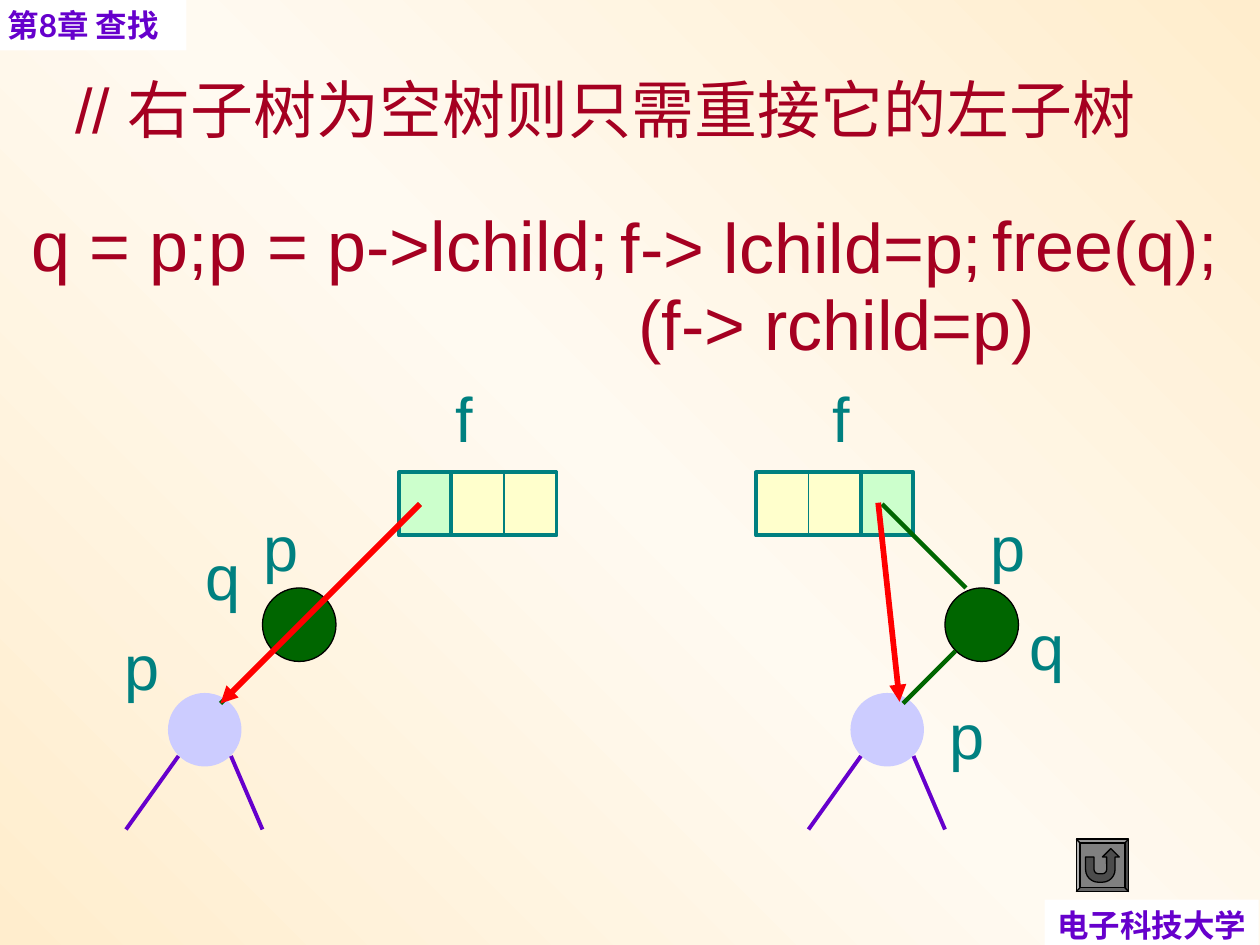
from copy import deepcopy
from dataclasses import dataclass
from lxml import etree
from pptx import Presentation
from pptx.dml.color import RGBColor
from pptx.enum.shapes import MSO_CONNECTOR, MSO_SHAPE
from pptx.enum.text import MSO_ANCHOR, MSO_AUTO_SIZE, PP_ALIGN
from pptx.oxml.ns import qn
from pptx.util import Emu, Inches, Pt

RECT, OVAL = MSO_SHAPE.RECTANGLE, MSO_SHAPE.OVAL
BEVEL, BACK = MSO_SHAPE.BEVEL, MSO_SHAPE.ACTION_BUTTON_RETURN
LINE = MSO_CONNECTOR.STRAIGHT
LEFT, RIGHT = PP_ALIGN.LEFT, PP_ALIGN.RIGHT
TOP, GROW = MSO_ANCHOR.TOP, MSO_AUTO_SIZE.SHAPE_TO_FIT_TEXT

CREAM, PALE = RGBColor(255, 237, 205), RGBColor(255, 250, 241)
WHITE, BLACK = RGBColor(255, 255, 255), RGBColor(0, 0, 0)
GREY, WINE = RGBColor(128, 128, 128), RGBColor(165, 0, 33)
PURPLE, LILAC = RGBColor(102, 0, 204), RGBColor(204, 204, 255)
TEAL, GREEN = RGBColor(0, 128, 128), RGBColor(0, 102, 0)
MINT, LEMON = RGBColor(204, 255, 204), RGBColor(255, 255, 204)
RED = RGBColor(255, 0, 0)

COLS, ROWS = 120, 90
WIDE, HIGH = Inches(10), Inches(7.5)
INSET = Inches(0.1)
FRAME = {"margin_left": INSET, "margin_top": Inches(0.05), "margin_bottom": Inches(0.05),
         "auto_size": GROW, "vertical_anchor": TOP}
CODE = {"name": "Arial", "size": Pt(40), "bold": False}
NOTE = {**CODE, "size": Pt(36)}
TAG = {"name": "Lato", "size": Pt(18), "bold": True}


@dataclass
class Box:
    x: float
    y: float
    w: float
    h: float


@dataclass
class Label:
    text: str
    box: Box
    font: dict
    color: RGBColor
    wrap: bool = False
    align: int = LEFT


@dataclass
class Node:
    kind: int
    box: Box
    fill: RGBColor
    edge: RGBColor = None
    width: float = 0.75


@dataclass
class Link:
    x1: float
    y1: float
    x2: float
    y2: float
    color: RGBColor
    width: float
    arrow: bool = False


def col(x: float) -> Emu:
    return Emu(round(WIDE * x / COLS))


def row(y: float) -> Emu:
    return Emu(round(HIGH * y / ROWS))


def area(box: Box) -> tuple:
    return col(box.x), row(box.y), col(box.w), row(box.h)


def apply(item, values: dict) -> None:
    for name, value in values.items():
        setattr(item, name, value)


def write(shape, label: Label):
    frame = shape.text_frame
    right = INSET if label.align == RIGHT else 0
    apply(frame, {**FRAME, "margin_right": right, "word_wrap": label.wrap})
    para = frame.paragraphs[0]
    para.alignment = label.align
    run = para.add_run()
    run.text = label.text
    apply(run.font, label.font)
    run.font.color.rgb = label.color
    return para


def draw_node(shapes, node: Node):
    shape = shapes.add_shape(node.kind, *area(node.box))
    shape.shadow.inherit = False
    shape.fill.solid()
    shape.fill.fore_color.rgb = node.fill
    if node.edge is None:
        shape.line.fill.background()
    else:
        shape.line.color.rgb = node.edge
        shape.line.width = Pt(node.width)
    return shape


def draw_link(shapes, link: Link):
    line = shapes.add_connector(LINE, col(link.x1), row(link.y1), col(link.x2), row(link.y2))
    line.line.color.rgb = link.color
    line.line.width = Pt(link.width)
    props = line.element.spPr
    if link.arrow:
        etree.SubElement(props.find(qn("a:ln")), qn("a:tailEnd"), type="triangle")
    etree.SubElement(props, qn("a:effectLst"))
    return line


def draw_cells(shapes, mark: int, pair: int) -> None:
    draw_node(shapes, Node(RECT, Box(mark, 45, 5, 6), MINT, TEAL, 2.25))
    cells = draw_node(shapes, Node(RECT, Box(pair, 45, 10, 6), LEMON, TEAL, 2.25))
    split = draw_link(shapes, Link(pair + 5, 45, pair + 5, 51, TEAL, 0.75))
    split.begin_connect(cells, 0)
    split.end_connect(cells, 2)


def draw_tree(shapes, x: int) -> None:
    draw_node(shapes, Node(OVAL, Box(x + 9, 56, 7, 7), GREEN, BLACK))
    draw_node(shapes, Node(OVAL, Box(x, 66, 7, 7), LILAC))
    for link in (Link(x + 1, 72, x - 4, 79, PURPLE, 2.25),
                 Link(x + 6, 72, x + 9, 79, PURPLE, 2.25),
                 Link(x + 10, 62, x + 5, 67, GREEN, 2.5)):
        draw_link(shapes, link)


def draw_back(shapes, x: float, y: float, size: float, rim: float) -> None:
    frame = draw_node(shapes, Node(BEVEL, Box(x, y, size, size), GREY, BLACK))
    frame.adjustments[0] = rim / size
    inner = size - 2 * rim
    draw_node(shapes, Node(BACK, Box(x + rim, y + rim, inner, inner), GREY, BLACK))


def paint(slide) -> None:
    fill = slide.background.fill
    fill.gradient()
    fill.gradient_angle = 45
    stops = slide.element.find(".//" + qn("a:gsLst"))
    stops.append(deepcopy(stops[0]))
    for stop, place, color in zip(fill.gradient_stops, (0, 0.5, 1), (CREAM, PALE, CREAM)):
        stop.position = place
        stop.color.rgb = color


HEAD = Label(" // 右子树为空树则只需重接它的左子树", Box(4.32, 2.52, 106.44, 12), NOTE, WINE)
TAGS = (
    Label("电子科技大学", Box(99.48, 85.68, 20.4, 4.8), TAG, PURPLE, align=RIGHT),
    Label("第8章 查找", Box(-0.48, 0, 18.24, 4.8), TAG, PURPLE),
)
STEPS = (
    ("(f-> rchild=p)", 59.64, 26.16, 40.08),
    ("q = p;", 1.8, 18.6, 19.2),
    ("p = p->lchild;", 18.72, 18.6, 40.56),
    ("f-> lchild=p;", 57.96, 18.84, 36.84),
    ("free(q);", 93.36, 18.6, 23.88),
)
NAMES = (
    ("p", 23.88, 47.88, 5.76, False),
    ("p", 93.12, 47.88, 5.4, True),
    ("f", 42.24, 35.52, 4.08, False),
    ("f", 78.12, 35.52, 4.08, False),
    ("p", 10.68, 59.16, 5.76, False),
    ("q", 18.36, 50.64, 5.4, True),
    ("q", 96.84, 57.24, 5.4, True),
    ("p", 89.28, 65.76, 5.4, True),
)
LINKS = (
    Link(40, 48, 31, 57, GREEN, 2.5),
    Link(84, 48, 92, 56, GREEN, 2.5),
    Link(40, 48, 21, 67, RED, 3.25, True),
    Link(83.64, 47.88, 85.68, 66.84, RED, 3.25, True),
)


def main() -> None:
    deck = Presentation()
    deck.slide_width, deck.slide_height = WIDE, HIGH
    slide = deck.slides.add_slide(deck.slide_layouts[5])
    shapes = slide.shapes
    paint(slide)
    title = shapes.title
    apply(title, dict(zip(("left", "top", "width", "height"), area(HEAD.box))))
    write(title, HEAD).line_spacing = 1.5
    for tag in TAGS:
        write(draw_node(shapes, Node(RECT, tag.box, WHITE)), tag)
    for mark, pair in ((38, 43), (82, 72)):
        draw_cells(shapes, mark, pair)
    for x in (16, 81):
        draw_tree(shapes, x)
    for link in LINKS:
        draw_link(shapes, link)
    labels = [Label(text, Box(x, y, w, 9.24), CODE, WINE) for text, x, y, w in STEPS]
    labels += [Label(text, Box(x, y, w, 8.4), NOTE, TEAL, wrap)
               for text, x, y, w, wrap in NAMES]
    for label in labels:
        write(shapes.add_textbox(*area(label.box)), label)
    draw_back(shapes, 102.5, 79.92, 5, 0.36)
    deck.save("out.pptx")


if __name__ == "__main__":
    main()
